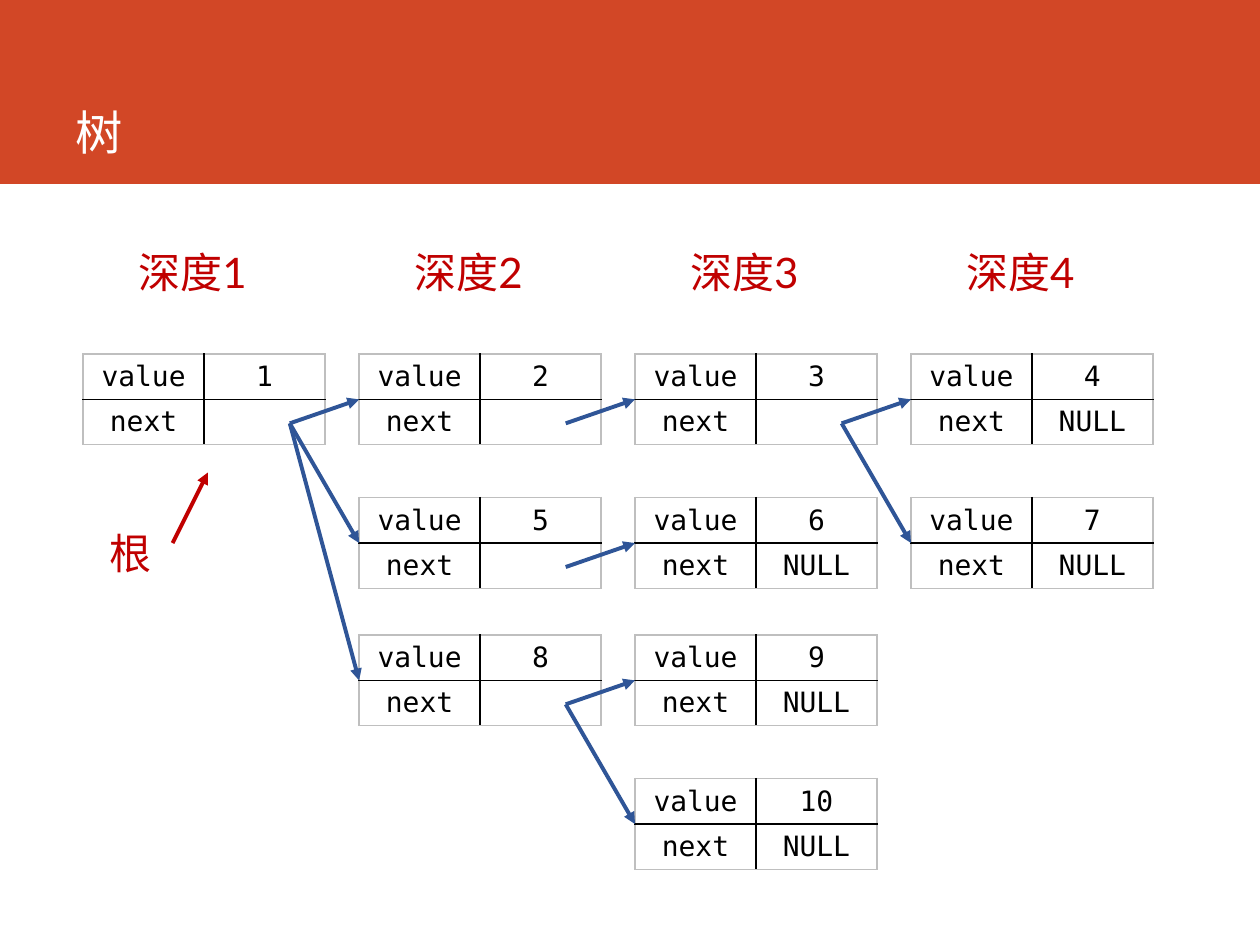
import dataclasses

import pptx
import pptx.dml.color
import pptx.enum.shapes
import pptx.enum.text
import pptx.oxml
import pptx.oxml.ns
import pptx.util

ANCHOR = pptx.enum.text.MSO_ANCHOR
ALIGN = pptx.enum.text.PP_ALIGN


@dataclasses.dataclass(frozen=True)
class Theme:
    band: str = "D24726"
    title: str = "FFFFFF"
    label: str = "C00000"
    arrow: str = "2F5597"
    ink: str = "000000"
    edge: str = "BFBFBF"
    cjk_font: str = "Noto Sans CJK SC"
    label_font: str = "Lato"
    code_font: str = "DejaVu Sans Mono"
    title_size: float = 27
    label_size: float = 24
    code_size: float = 16
    arrow_width: float = 2.25


@dataclasses.dataclass(frozen=True)
class Grid:
    """Tree grid in inches: one column per depth, one row per leaf."""
    left: float = 0.66
    pitch: float = 2.19
    tops: tuple = (2.81, 3.95, 5.04, 6.18)
    cell_width: float = 0.96
    cell_height: float = 0.36

    def corner(self, column, row):
        return self.left + column * self.pitch, self.tops[row]


def color(value):
    return pptx.dml.color.RGBColor.from_string(value)


def inches(*values):
    return [pptx.util.Inches(value) for value in values]


def apply_format(target, values):
    for name, value in values.items():
        setattr(target, name, value)


def xml(tag, attributes="", content=""):
    namespace = pptx.oxml.ns.nsdecls("a")
    return pptx.oxml.parse_xml(f"<a:{tag} {namespace} {attributes}>{content}</a:{tag}>")


class TreeSlide:
    def __init__(self, presentation, theme, grid):
        self.theme = theme
        self.grid = grid
        self.width = presentation.slide_width / pptx.util.Inches(1)
        self.shapes = presentation.slides.add_slide(presentation.slide_layouts[6]).shapes

    def add_run(self, paragraph, text, font, size, ink):
        run = paragraph.add_run()
        run.text = text
        apply_format(run.font, {"name": font, "size": pptx.util.Pt(size)})
        run.font.color.rgb = color(ink)
        run.font._element.append(xml("ea", f'typeface="{self.theme.cjk_font}"'))

    def band(self, height):
        shape = self.shapes.add_shape(
            pptx.enum.shapes.MSO_SHAPE.RECTANGLE, *inches(0, 0, self.width, height))
        shape.shadow.inherit = False
        shape.fill.solid()
        shape.fill.fore_color.rgb = color(self.theme.band)
        shape.line.fill.background()

    def text(self, text, box, font, size, ink, anchor=ANCHOR.TOP):
        frame = self.shapes.add_textbox(*inches(*box)).text_frame
        apply_format(frame, {"word_wrap": True, "vertical_anchor": anchor})
        self.add_run(frame.paragraphs[0], text, font, size, ink)

    def title(self, text):
        self.text(text, (0.5, 0, 8.82, 1.32), self.theme.cjk_font,
                  self.theme.title_size, self.theme.title, ANCHOR.BOTTOM)

    def label(self, text, left, top, width):
        self.text(text, (left, top, width, 0.5), self.theme.label_font,
                  self.theme.label_size, self.theme.label)

    def borders(self, cell, row, column):
        """Black rules inside the node, light ones around it."""
        inner = {"lnL": column == 1, "lnR": column == 0,
                 "lnT": row == 1, "lnB": row == 0}
        properties = cell._tc.get_or_add_tcPr()
        for index, (side, is_inner) in enumerate(inner.items()):
            ink = self.theme.ink if is_inner else self.theme.edge
            fill = f'<a:solidFill><a:srgbClr val="{ink}"/></a:solidFill>'
            properties.insert(index, xml(side, 'w="12700"', fill))

    def node(self, value, column, row, is_leaf):
        grid = self.grid
        table = self.shapes.add_table(2, 2, *inches(
            *grid.corner(column, row), 2 * grid.cell_width, 2 * grid.cell_height)).table
        apply_format(table, {"first_row": False, "horz_banding": False})
        content = (("value", str(value)), ("next", "NULL" if is_leaf else ""))
        margin = pptx.util.Inches(0.02)
        for i, texts in enumerate(content):
            for j, text in enumerate(texts):
                cell = table.cell(i, j)
                apply_format(cell, {"vertical_anchor": ANCHOR.MIDDLE,
                                    "margin_top": margin, "margin_bottom": margin})
                cell.fill.background()
                self.borders(cell, i, j)
                paragraph = cell.text_frame.paragraphs[0]
                paragraph.alignment = ALIGN.CENTER
                if text:
                    self.add_run(paragraph, text, self.theme.code_font,
                                 self.theme.code_size, self.theme.ink)

    def arrow(self, start, end, ink):
        connector = self.shapes.add_connector(
            pptx.enum.shapes.MSO_CONNECTOR.STRAIGHT, *inches(*start, *end))
        connector.line.color.rgb = color(ink)
        connector.line.width = pptx.util.Pt(self.theme.arrow_width)
        connector.line._get_or_add_ln().append(xml("tailEnd", 'type="triangle"'))
        connector._element.spPr.append(xml("effectLst"))

    def link(self, parent, child):
        """Arrow from the parent's next cell to the child's left side."""
        left, top = self.grid.corner(*parent)
        child_left, child_top = self.grid.corner(*child)
        self.arrow((left + 1.64, top + 0.55),
                   (child_left, child_top + self.grid.cell_height), self.theme.arrow)


def main():
    presentation = pptx.Presentation()
    presentation.slide_width, presentation.slide_height = inches(10, 7.5)
    theme, grid = Theme(), Grid()
    slide = TreeSlide(presentation, theme, grid)
    slide.band(1.46)
    slide.title("树")

    places = {1: (0, 0), 2: (1, 0), 3: (2, 0), 4: (3, 0), 5: (1, 1),
              6: (2, 1), 7: (3, 1), 8: (1, 2), 9: (2, 2), 10: (2, 3)}
    children = {1: (2, 5, 8), 2: (3,), 3: (4, 7), 5: (6,), 8: (9, 10)}
    for value, place in places.items():
        slide.node(value, *place, is_leaf=value not in children)
    for parent, values in children.items():
        for value in values:
            slide.link(places[parent], places[value])

    for depth in range(4):
        slide.label(f"深度{depth + 1}", 1 + depth * grid.pitch, 1.91, 1.34)
    slide.label("根", 0.77, 4.14, 0.88)
    slide.arrow((1.37, 4.31), (1.65, 3.75), theme.label)
    presentation.save("out.pptx")


if __name__ == "__main__":
    main()
